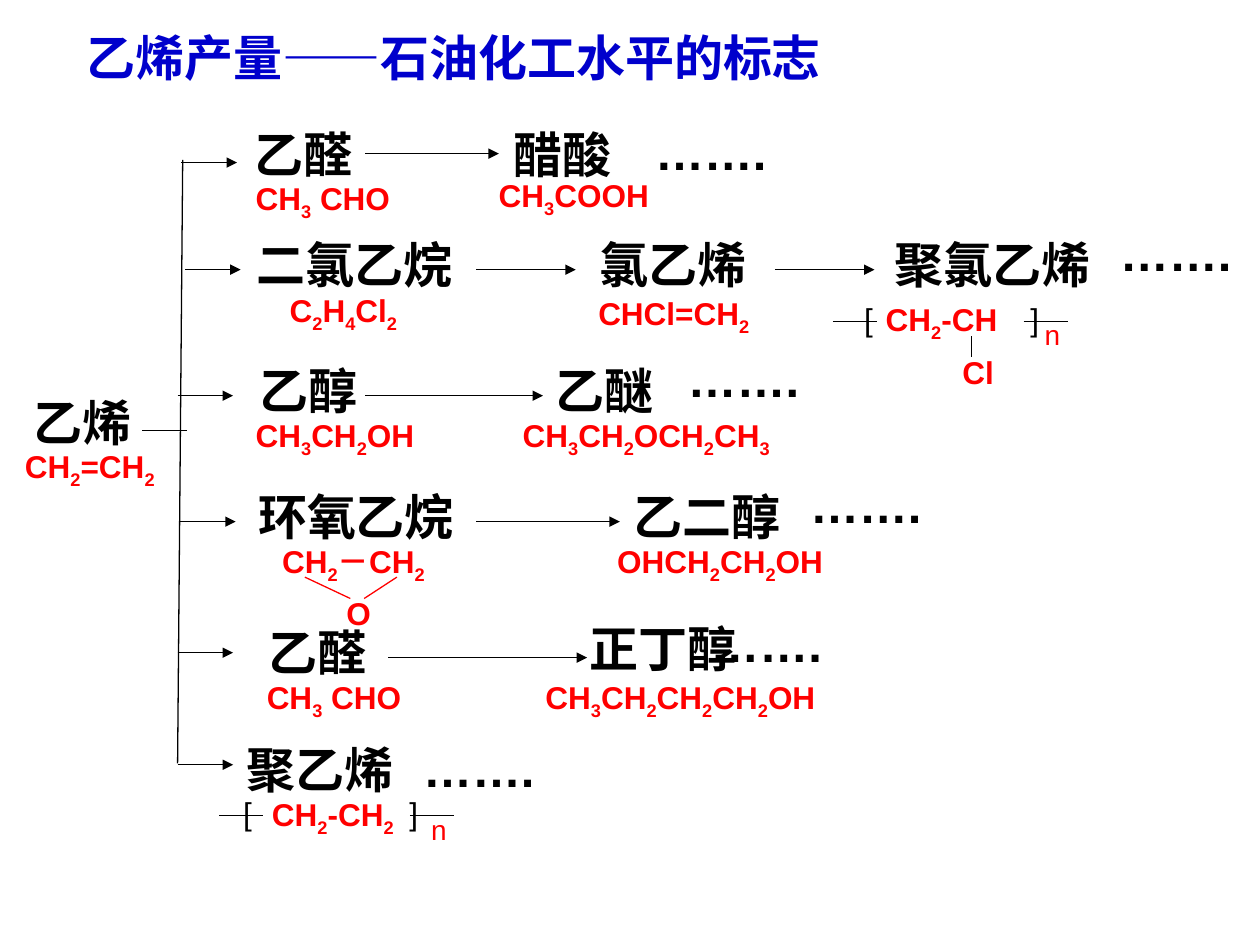
from itertools import groupby

from lxml.etree import SubElement
from pptx import Presentation
from pptx.dml.color import RGBColor
from pptx.enum.shapes import MSO_CONNECTOR
from pptx.enum.text import MSO_ANCHOR, MSO_AUTO_SIZE, PP_ALIGN
from pptx.oxml.ns import qn
from pptx.util import Pt

BLACK, RED, BLUE = "000000", "FF0000", "0000CC"
DOTS = "……."

# (text, left, top)
NAMES = [
    ("乙烯", 12.2, 221),
    ("乙醛", 138.2, 67.7), ("醋酸", 286.6, 67.7),
    ("二氯乙烷", 139.7, 130.3), ("氯乙烯", 335.5, 130.3), ("聚氯乙烯", 504, 130.3),
    ("乙醇", 141.1, 202.3), ("乙醚", 310.3, 202.3),
    ("环氧乙烷", 140.4, 274.3), ("乙二醇", 355, 274.3),
    ("乙醛", 146.2, 352.1), ("正丁醇", 329.8, 349.9),
    ("聚乙烯", 133.9, 419),
]
DOT_PLACES = [(367.2, 66.2), (632.9, 123.8), (385.9, 195.8),
              (455.8, 267.8), (398.9, 347), (234.7, 418.3)]

# (text, left, top, width)
FORMULAS = [
    ("CH2=CH2", 7.2, 252, 88.6),
    ("CH3 CHO", 139, 98.6, 90.7), ("CH3COOH", 277.9, 97.2, 100.1),
    ("C2H4Cl2", 158.4, 163, 75.6), ("CHCl=CH2", 334.8, 164.6, 100.8),
    ("CH2-CH", 499, 167.8, 77.8), ("Cl", 542.9, 198, 32.4),
    ("CH3CH2OH", 139, 234, 105.1), ("CH3CH2OCH2CH3", 291.6, 234, 155.5),
    ("CH2－CH2", 154.1, 306, 104.4), ("O", 190.8, 336.2, 28.1),
    ("OHCH2CH2OH", 345.6, 306, 131.8),
    ("CH3 CHO", 145.4, 383.8, 90.7), ("CH3CH2CH2CH2OH", 304.6, 383.8, 168.5),
    ("CH2-CH2", 148.3, 450.7, 97.2),
]

# (left, right, y)
STEPS = [
    (208.8, 285.1, 87.8),
    (272.2, 329, 154.1), (442.8, 499.7, 154.1),
    (208.8, 310.3, 226.1),
    (272.2, 354.2, 298.1),
    (221.8, 335.5, 375.8),
]
BRANCHES = [(103.7, 92.9), (105.8, 154.1), (101.5, 226.1),
            (103, 298.1), (101.5, 373), (101.5, 437)]
BRANCH_LENGTH = 31.7


def rgb(color):
    return RGBColor.from_string(color)


class Builder:
    font = "Arial"
    name_size, formula_size, index_size = 28, 18, 16
    line_width = 0.75

    def __init__(self, s):
        self.s = s

    def add_run(self, p, text, size, color, bold=True):
        r = p.add_run()
        r.text = text
        r.font.name = self.font
        r.font.size = Pt(size)
        r.font.bold = bold
        r.font.color.rgb = rgb(color)
        return r

    def format_frame(self, sp):
        """Set up the text frame and return its first paragraph."""
        tf = sp.text_frame
        tf.word_wrap = True
        tf.auto_size = MSO_AUTO_SIZE.NONE
        tf.vertical_anchor = MSO_ANCHOR.TOP
        tf.margin_right = 0
        return tf.paragraphs[0]

    def title(self, text, x, y, w, h):
        sp = self.s.shapes.title
        sp.left, sp.top, sp.width, sp.height = Pt(x), Pt(y), Pt(w), Pt(h)
        p = self.format_frame(sp)
        p.alignment = PP_ALIGN.LEFT
        self.add_run(p, text, self.name_size, BLUE)

    def box(self, x, y, w, h):
        """Add an empty text box and return its paragraph."""
        return self.format_frame(
            self.s.shapes.add_textbox(Pt(x), Pt(y), Pt(w), Pt(h)))

    def name(self, text, x, y):
        p = self.box(x, y, len(text) * self.name_size + 14, 41)
        self.add_run(p, text, self.name_size, BLACK)

    def dots(self, x, y):
        self.add_run(self.box(x, y, 77.8, 41), DOTS, self.name_size, BLACK)

    def formula(self, text, x, y, w):
        """Write a formula with every digit as a subscript."""
        p = self.box(x, y, w, 31.7)
        for is_index, chars in groupby(text, str.isdigit):
            r = self.add_run(p, "".join(chars), self.formula_size, RED)
            if is_index:
                r.font._element.set("baseline", "-25000")

    def line(self, x1, y1, x2, y2, color=BLACK, arrow=False):
        c = self.s.shapes.add_connector(
            MSO_CONNECTOR.STRAIGHT, Pt(x1), Pt(y1), Pt(x2), Pt(y2))
        c.line.color.rgb = rgb(color)
        c.line.width = Pt(self.line_width)
        if arrow:
            SubElement(c.line._get_or_add_ln(), qn("a:tailEnd"), type="triangle")
        SubElement(c._element.spPr, qn("a:effectLst"))

    def arrow(self, x1, x2, y):
        self.line(x1, y, x2, y, arrow=True)

    def polymer_frame(self, x, y, bracket_x):
        """Draw the brackets, bond bars and index n of a repeat unit."""
        for bar_x in (x, x + 109):
            self.line(bar_x, y, bar_x + 25.2, y)
        p = self.box(bracket_x, y - 15.8, 114.5, 28.8)
        tabs = SubElement(p._p.get_or_add_pPr(), qn("a:tabLst"))
        SubElement(tabs, qn("a:tab"), pos=str(Pt(95)), algn="l")
        self.add_run(p, "[\t]", self.formula_size, BLACK, bold=False)
        p = self.box(x + 114, y - 5.5, 23, 26.6)
        self.add_run(p, "n", self.index_size, RED, bold=False)


def main():
    prs = Presentation()
    prs.slide_width, prs.slide_height = Pt(720), Pt(540)
    b = Builder(prs.slides.add_slide(prs.slide_layouts[5]))

    b.title("乙烯产量——石油化工水平的标志", 42.5, 12.2, 433.4, 41)

    b.line(104.4, 91.4, 101.5, 436.3)
    b.line(81.4, 246.2, 106.6, 246.2)
    for x, y in BRANCHES:
        b.arrow(x, x + BRANCH_LENGTH, y)
    for step in STEPS:
        b.arrow(*step)

    for name in NAMES:
        b.name(*name)
    for place in DOT_PLACES:
        b.dots(*place)
    for formula in FORMULAS:
        b.formula(*formula)

    b.polymer_frame(475.9, 183.6, 486.7)
    b.polymer_frame(125.3, 466.2, 131.8)
    b.line(555.1, 192.2, 555.1, 203.8)
    b.line(174.2, 329.8, 200.2, 342, RED)
    b.line(226.8, 329.8, 208.1, 342, RED)

    prs.save("out.pptx")


if __name__ == "__main__":
    main()
